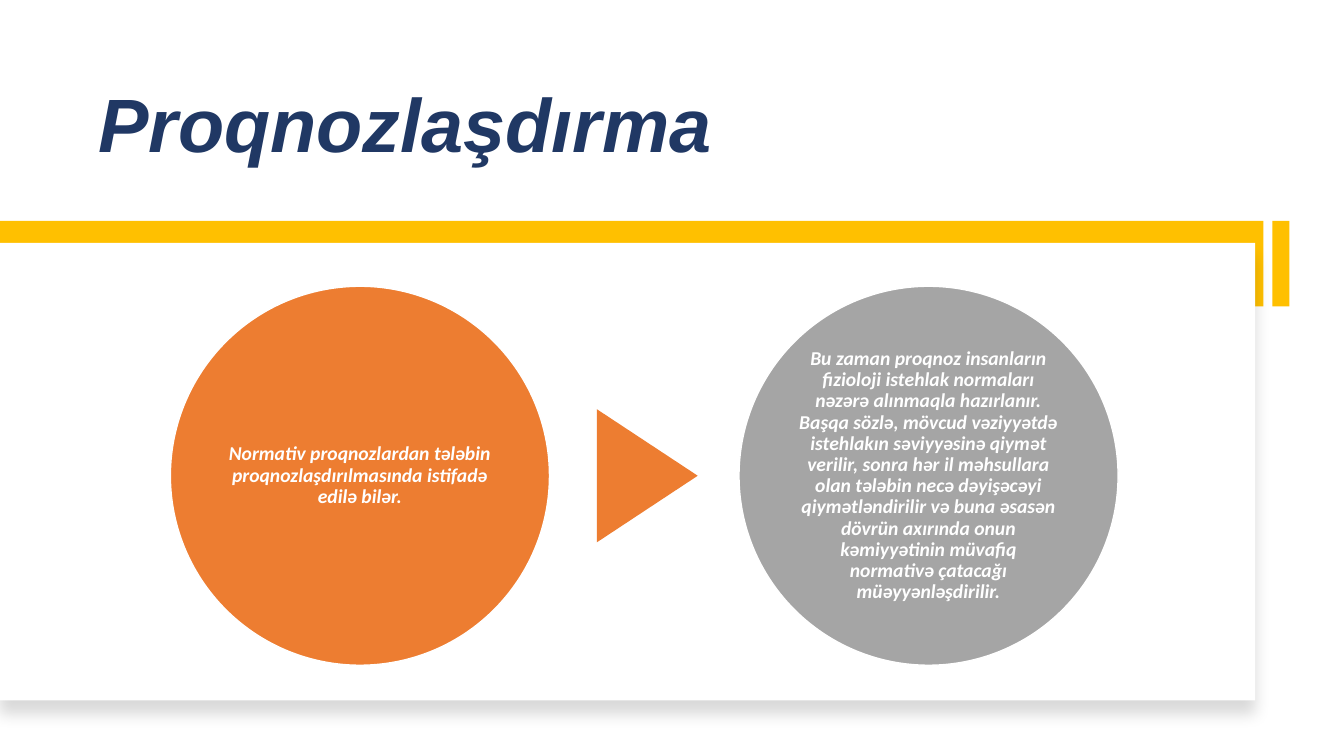
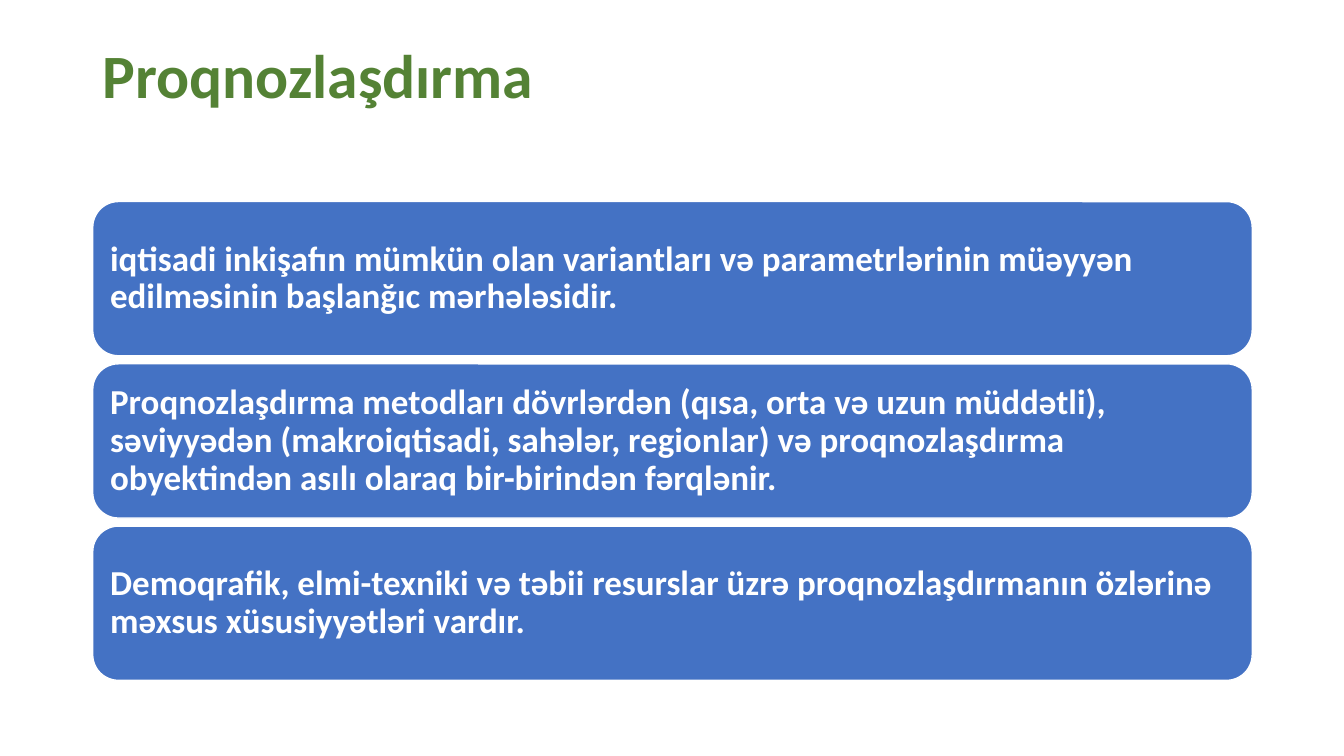
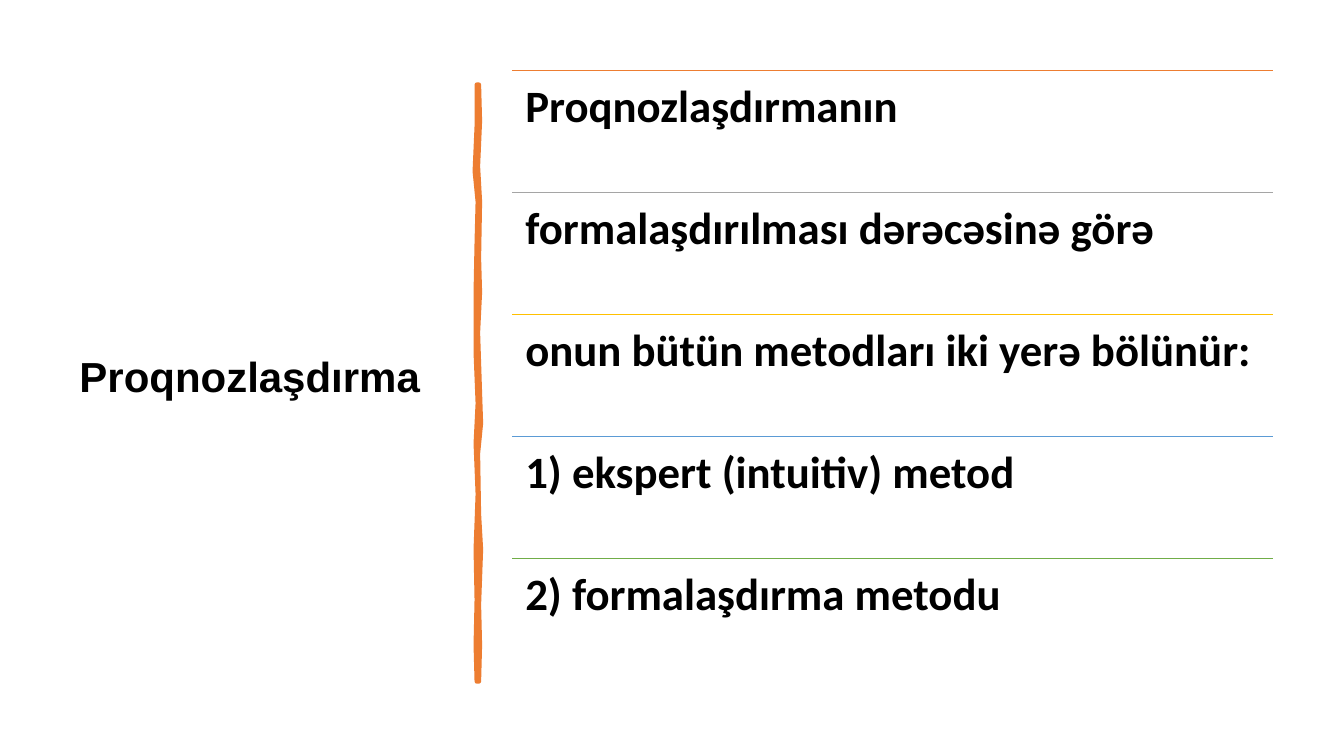
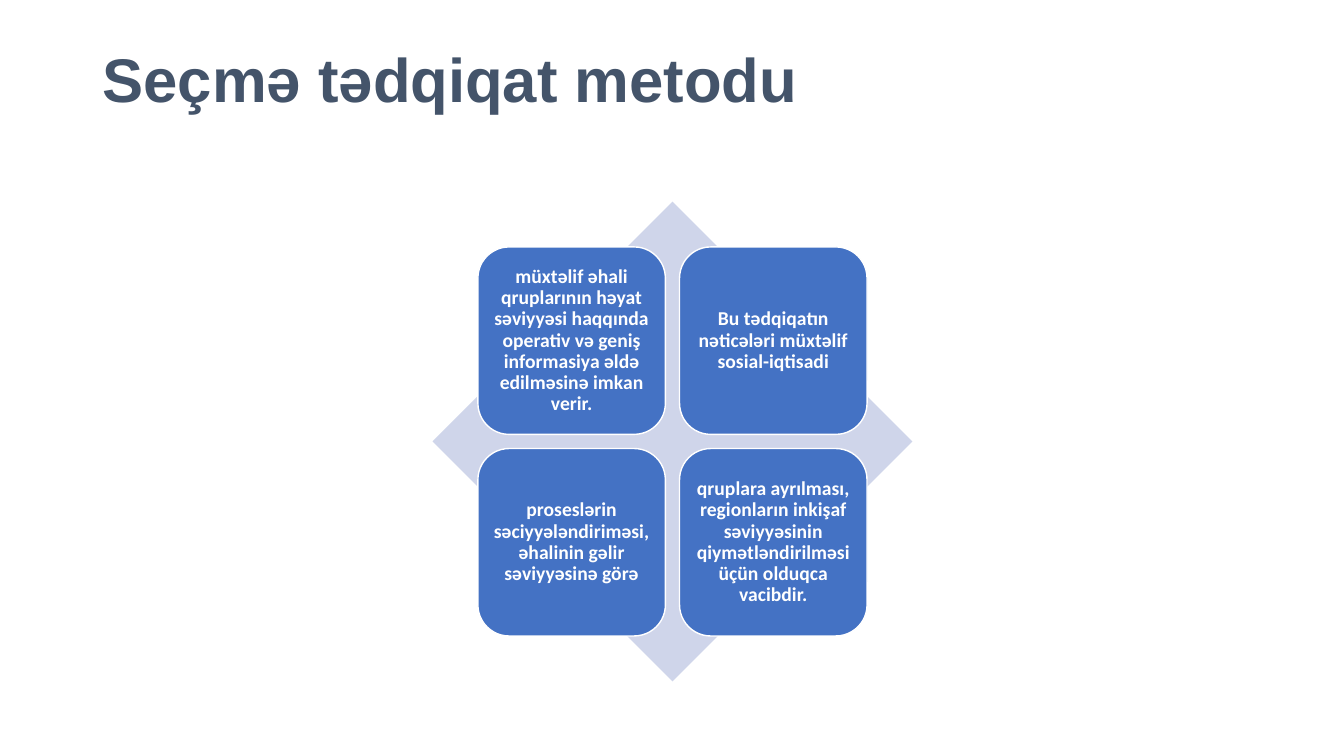
from lxml.etree import SubElement
from pptx import Presentation
from pptx.dml.color import RGBColor
from pptx.enum.shapes import MSO_CONNECTOR, MSO_SHAPE
from pptx.enum.text import MSO_ANCHOR, PP_ALIGN
from pptx.oxml.ns import qn
from pptx.util import Inches, Pt

COLORS = {
    "white": "FFFFFF",
    "black": "000000",
    "navy": "203864",
    "slate": "44546A",
    "dark_green": "548235",
    "gold": "FFC000",
    "orange": "ED7D31",
    "gray": "A5A5A5",
    "blue": "4472C4",
    "sky": "5B9BD5",
    "green": "70AD47",
    "pale_blue": "CFD5EA",
}


def add_block(slide, kind, box, fill, outline=None):
    block = slide.shapes.add_shape(kind, *map(Inches, box))
    block.shadow.inherit = False
    block.fill.solid()
    block.fill.fore_color.rgb = RGBColor.from_string(COLORS[fill])
    if outline:
        block.line.color.rgb = RGBColor.from_string(COLORS[outline])
        block.line.width = Pt(1)
    else:
        block.line.fill.background()
    return block


def write(holder, text, size, color="white", font="Calibri", italic=False,
          align=PP_ALIGN.LEFT, anchor=MSO_ANCHOR.MIDDLE, insets=(0.1, 0.05)):
    frame = holder.text_frame
    frame.word_wrap = True
    frame.vertical_anchor = anchor
    frame.margin_left = frame.margin_right = Inches(insets[0])
    frame.margin_top = frame.margin_bottom = Inches(insets[1])
    frame.text = text
    paragraph = frame.paragraphs[0]
    paragraph.alignment = align
    paragraph.line_spacing = 0.9
    style = paragraph.runs[0].font
    style.name = font
    style.size = Pt(size)
    style.bold = True
    style.italic = italic
    style.color.rgb = RGBColor.from_string(COLORS[color])


prs = Presentation()
prs.slide_width = Inches(13.33)
prs.slide_height = Inches(7.5)
normative, definition, methods, survey = [
    prs.slides.add_slide(prs.slide_layouts[6]) for _ in range(4)
]

titles = [
    (normative, "Proqnozlaşdırma", (0.88, 0.42, 10.1, 1.3), 54, "navy", "Arial", True, MSO_ANCHOR.BOTTOM, 0.05),
    (definition, "Proqnozlaşdırma", (0.92, 0.4, 11.5, 1.45), 44, "dark_green", "Calibri", False, MSO_ANCHOR.TOP, 0.05),
    (methods, "Proqnozlaşdırma", (0.69, 0.7, 3.74, 6.11), 30, "black", "Arial", False, MSO_ANCHOR.MIDDLE, 0.05),
    (survey, "Seçmə tədqiqat metodu", (0.92, 0.4, 11.5, 1.45), 44, "slate", "Arial", False, MSO_ANCHOR.TOP, 0.09),
]
for slide, text, box, size, color, font, italic, anchor, inset in titles:
    title = slide.shapes.add_textbox(*map(Inches, box))
    write(title, text, size, color, font, italic, anchor=anchor, insets=(0.1, inset))

add_block(normative, MSO_SHAPE.RECTANGLE, (12.62, 2.19, 0.17, 0.85), "gold")
add_block(normative, MSO_SHAPE.RECTANGLE, (0, 2.19, 12.53, 0.85), "gold")
panel = add_block(normative, MSO_SHAPE.RECTANGLE, (0, 2.41, 12.45, 4.54), "white")
effects = panel._element.spPr.find(qn("a:effectLst"))
panel_shadow = SubElement(effects, qn("a:outerShdw"), blurRad=str(Pt(11)), dist=str(Pt(10)),
                          dir="5400000", algn="t", rotWithShape="0")
shadow_color = SubElement(panel_shadow, qn("a:srgbClr"), val=COLORS["black"])
SubElement(shadow_color, qn("a:alpha"), val="15000")

circles = [
    (1.69, "orange", "Normativ proqnozlardan tələbin proqnozlaşdırılmasında istifadə edilə bilər."),
    (7.33, "gray", "Bu zaman proqnoz insanların fizioloji istehlak normaları nəzərə alınmaqla "
     "hazırlanır. Başqa sözlə, mövcud vəziyyətdə istehlakın səviyyəsinə qiymət verilir, sonra "
     "hər il məhsullara olan tələbin necə dəyişəcəyi qiymətləndirilir və buna əsasən dövrün "
     "axırında onun kəmiyyətinin müvafiq normativə çatacağı müəyyənləşdirilir."),
]
for left, fill, text in circles:
    circle = add_block(normative, MSO_SHAPE.OVAL, (left, 2.84, 3.76, 3.76), fill, "white")
    write(circle, text, 14, italic=True, align=PP_ALIGN.CENTER, insets=(0.02, 0.02))
arrow = add_block(normative, MSO_SHAPE.ISOSCELES_TRIANGLE, (5.76, 4.22, 1.32, 1), "orange")
arrow.rotation = 90

statements = [
    "iqtisadi inkişafın mümkün olan variantları və parametrlərinin müəyyən edilməsinin "
    "başlanğıc mərhələsidir.",
    "Proqnozlaşdırma metodları dövrlərdən (qısa, orta və uzun müddətli), səviyyədən "
    "(makroiqtisadi, sahələr, regionlar) və proqnozlaşdırma obyektindən asılı olaraq "
    "bir-birindən fərqlənir.",
    "Demoqrafik, elmi-texniki və təbii resurslar üzrə proqnozlaşdırmanın özlərinə məxsus "
    "xüsusiyyətləri vardır.",
]
for row, text in enumerate(statements):
    bar = add_block(definition, MSO_SHAPE.ROUNDED_RECTANGLE,
                    (0.92, 2 + row * 1.61, 11.5, 1.53), "blue", "white")
    write(bar, text, 25, insets=(0.1, 0.1))

stroke_edge = [
    (475, 84), (476, 120), (474, 165), (476, 200), (475, 256), (476, 290), (474, 330),
    (476, 390), (477, 420), (474, 450), (475, 510), (477, 545), (475, 600), (476, 640),
    (475, 676), (473, 676), (472, 640), (473, 595), (472, 545), (474, 490), (472, 440),
    (474, 400), (472, 350), (472, 290), (473, 240), (474, 200), (471, 170), (473, 125),
    (473, 84),
]
outline = methods.shapes.build_freeform(*stroke_edge[0], scale=Inches(0.01))
outline.add_line_segments(stroke_edge[1:], close=True)
brush_stroke = outline.convert_to_shape()
brush_stroke.shadow.inherit = False
brush_stroke.fill.solid()
brush_stroke.fill.fore_color.rgb = RGBColor.from_string(COLORS["orange"])
brush_stroke.line.color.rgb = RGBColor.from_string(COLORS["orange"])
brush_stroke.line.width = Pt(3.25)

entries = [
    ("orange", "Proqnozlaşdırmanın"),
    ("gray", "formalaşdırılması dərəcəsinə görə"),
    ("gold", "onun bütün metodları iki yerə bölünür:"),
    ("sky", "1) ekspert (intuitiv) metod"),
    ("green", "2) formalaşdırma metodu"),
]
for row, (color, text) in enumerate(entries):
    top = Inches(0.7 + row * 1.21)
    rule = methods.shapes.add_connector(MSO_CONNECTOR.STRAIGHT, Inches(5.08), top, Inches(12.63), top)
    rule.line.color.rgb = RGBColor.from_string(COLORS[color])
    rule.line.width = Pt(1)
    SubElement(rule._element.spPr, qn("a:effectLst"))
    entry = methods.shapes.add_textbox(Inches(5.08), top, Inches(7.55), Inches(1.21))
    write(entry, text, 32, "black", anchor=MSO_ANCHOR.TOP, insets=(0.13, 0.13))

add_block(survey, MSO_SHAPE.DIAMOND, (4.29, 2, 4.76, 4.76), "pale_blue")
findings = [
    "müxtəlif əhali qruplarının həyat səviyyəsi haqqında operativ və geniş informasiya əldə "
    "edilməsinə imkan verir.",
    "Bu tədqiqatın nəticələri müxtəlif sosial-iqtisadi",
    "proseslərin səciyyələndiriməsi, əhalinin gəlir səviyyəsinə görə",
    "qruplara ayrılması, regionların inkişaf səviyyəsinin qiymətləndirilməsi üçün olduqca "
    "vacibdir.",
]
for index, text in enumerate(findings):
    row, column = divmod(index, 2)
    tile = add_block(survey, MSO_SHAPE.ROUNDED_RECTANGLE,
                     (4.74 + column * 2, 2.45 + row * 2, 1.86, 1.86), "blue", "white")
    write(tile, text, 14, align=PP_ALIGN.CENTER, insets=(0.06, 0.06))

prs.save("out.pptx")
